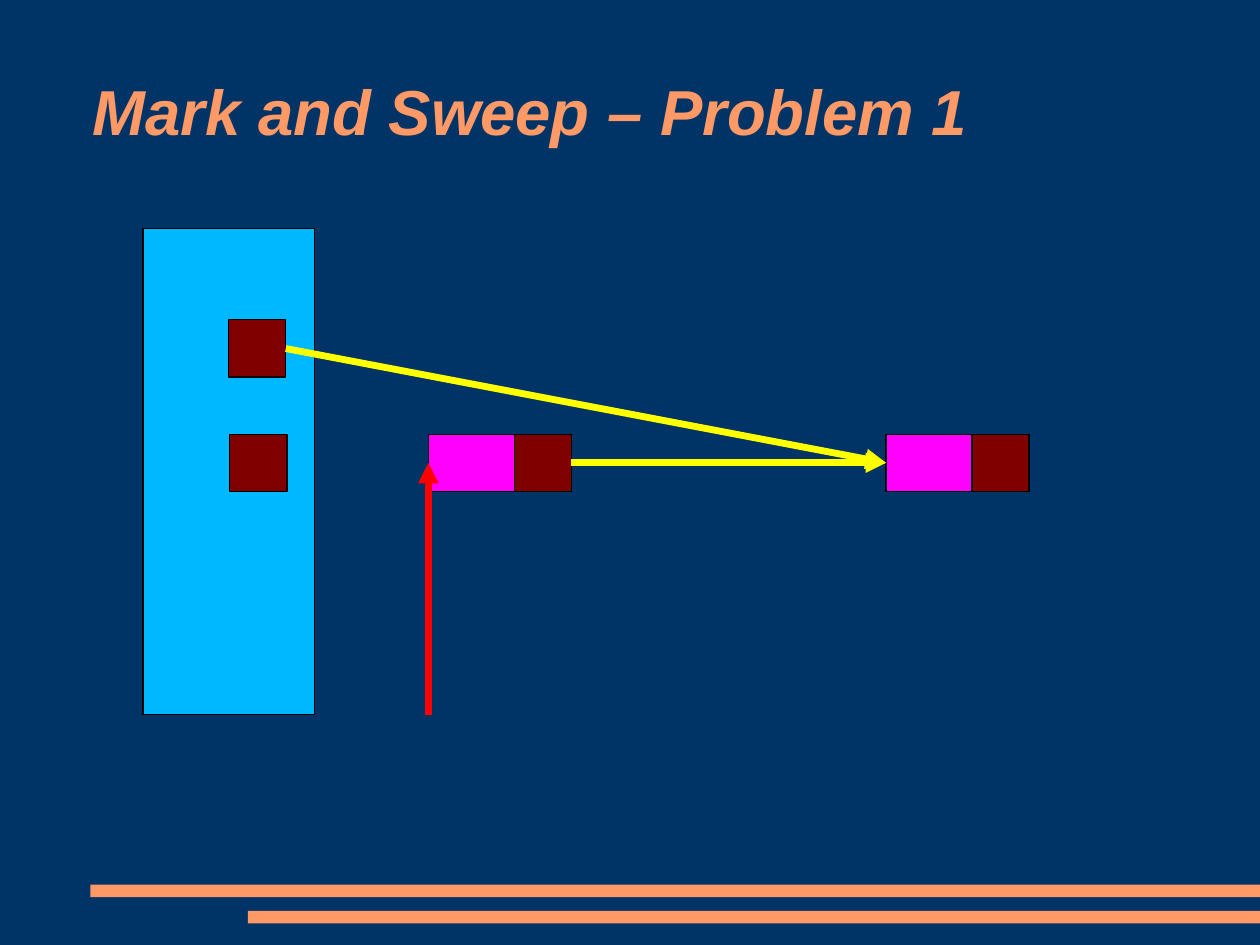
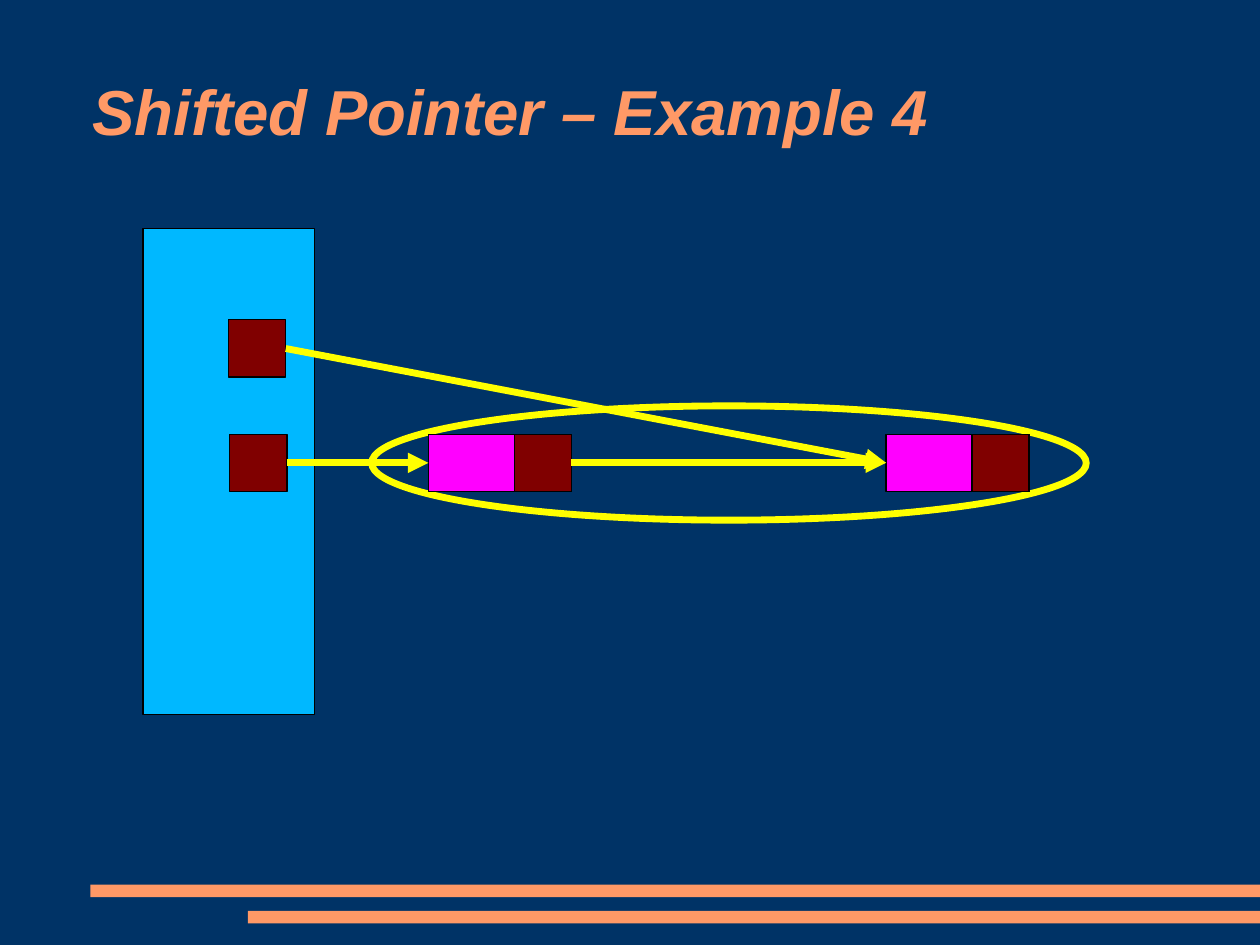
import lxml.etree
import pptx
import pptx.dml.color
import pptx.enum.shapes
import pptx.enum.text
import pptx.oxml.ns
import pptx.util

Cm = pptx.util.Cm
Pt = pptx.util.Pt
RGB = pptx.dml.color.RGBColor
KIND = pptx.enum.shapes.MSO_SHAPE

NAVY = RGB(0x00, 0x33, 0x66)
PEACH = RGB(0xFF, 0x99, 0x66)
SKY = RGB(0x00, 0xB8, 0xFF)
MAROON = RGB(0x80, 0x00, 0x00)
PINK = RGB(0xFF, 0x00, 0xFF)
YELLOW = RGB(0xFF, 0xFF, 0x00)
RED = RGB(0xFF, 0x00, 0x00)
BLACK = RGB(0x00, 0x00, 0x00)

WIDTH, HEIGHT = 28, 21
CELL = 1.27
NODE = 3.18
ROW = 9.65
THICK = 4.3


def draw(slide, kind, x, y, w, h, fill=None, line=None, size=0.75):
    shape = slide.shapes.add_shape(kind, Cm(x), Cm(y), Cm(w), Cm(h))
    shape.shadow.inherit = False
    if fill is None:
        shape.fill.background()
    else:
        shape.fill.solid()
        shape.fill.fore_color.rgb = fill
    if line is None:
        shape.line.fill.background()
    else:
        shape.line.color.rgb = line
        shape.line.width = Pt(size)
    return shape


def draw_cell(slide, x, y):
    return draw(slide, KIND.RECTANGLE, x, y, CELL, CELL, MAROON, BLACK)


def draw_node(slide, x):
    body = draw(slide, KIND.RECTANGLE, x, ROW, NODE, CELL, PINK, BLACK)
    return body, draw_cell(slide, x + NODE - CELL, ROW)


def draw_arrow(slide, color, goal, source=None, start=(0, 0)):
    x, y = (Cm(part) for part in start)
    link = slide.shapes.add_connector(
        pptx.enum.shapes.MSO_CONNECTOR.STRAIGHT, x, y, x, y)
    if source is not None:
        link.begin_connect(source, 3)
    link.end_connect(goal, 1)
    link.line.color.rgb = color
    link.line.width = Pt(THICK)
    qn = pptx.oxml.ns.qn
    props = link.element.spPr
    lxml.etree.SubElement(props.get_or_add_ln(), qn("a:tailEnd"), type="triangle")
    lxml.etree.SubElement(props, qn("a:effectLst"))


def set_layout(deck, layout):
    back = deck.slide_master.background.fill
    back.solid()
    back.fore_color.rgb = NAVY
    for holder in list(layout.placeholders):
        if holder.placeholder_format.idx != 0:
            holder.element.getparent().remove(holder.element)
            continue
        holder.left, holder.top = Cm(2.06), Cm(0.79)
        holder.width, holder.height = Cm(23.9), Cm(3.5)
        frame = holder.text_frame
        frame.margin_left = frame.margin_right = 0
        frame.margin_top = frame.margin_bottom = 0
        frame.vertical_anchor = pptx.enum.text.MSO_ANCHOR.MIDDLE
        frame.auto_size = pptx.enum.text.MSO_AUTO_SIZE.NONE


def add_bands(slide):
    for x, y in ((2.01, 19.66), (5.51, 20.24)):
        band = draw(slide, KIND.RECTANGLE, x, y, WIDTH - x, 0.28, PEACH)
        slide.slide_layout.shapes.element.append(band.element)


def set_title(slide, text):
    para = slide.shapes.title.text_frame.paragraphs[0]
    para.alignment = pptx.enum.text.PP_ALIGN.LEFT
    para.line_spacing = 0.93
    run = para.add_run()
    run.text = text
    font = run.font
    font.name, font.size = "Arial", Pt(40)
    font.bold = font.italic = True
    font.color.rgb = PEACH


def draw_heap(slide):
    draw(slide, KIND.RECTANGLE, 3.18, 5.08, 3.81, 10.8, SKY, BLACK)
    upper = draw_cell(slide, 5.08, 7.11)
    lower = draw_cell(slide, 5.11, ROW)
    first, field = draw_node(slide, 9.52)
    second, _ = draw_node(slide, 19.69)
    for source in (upper, field):
        draw_arrow(slide, YELLOW, second, source)
    return lower, first


def main():
    deck = pptx.Presentation()
    deck.slide_width, deck.slide_height = Cm(WIDTH), Cm(HEIGHT)
    layout = deck.slide_layouts.get_by_name("Title Only")
    set_layout(deck, layout)

    slide = deck.slides.add_slide(layout)
    add_bands(slide)
    set_title(slide, "Mark and Sweep – Problem 1")
    _, first = draw_heap(slide)
    draw_arrow(slide, RED, first, start=(9.52, 15.88))

    slide = deck.slides.add_slide(layout)
    set_title(slide, "Shifted Pointer – Example 4")
    draw(slide, KIND.OVAL, 8.26, 9.02, 15.88, 2.54, line=YELLOW, size=THICK)
    lower, first = draw_heap(slide)
    draw_arrow(slide, YELLOW, first, lower)

    deck.save("out.pptx")


if __name__ == "__main__":
    main()
